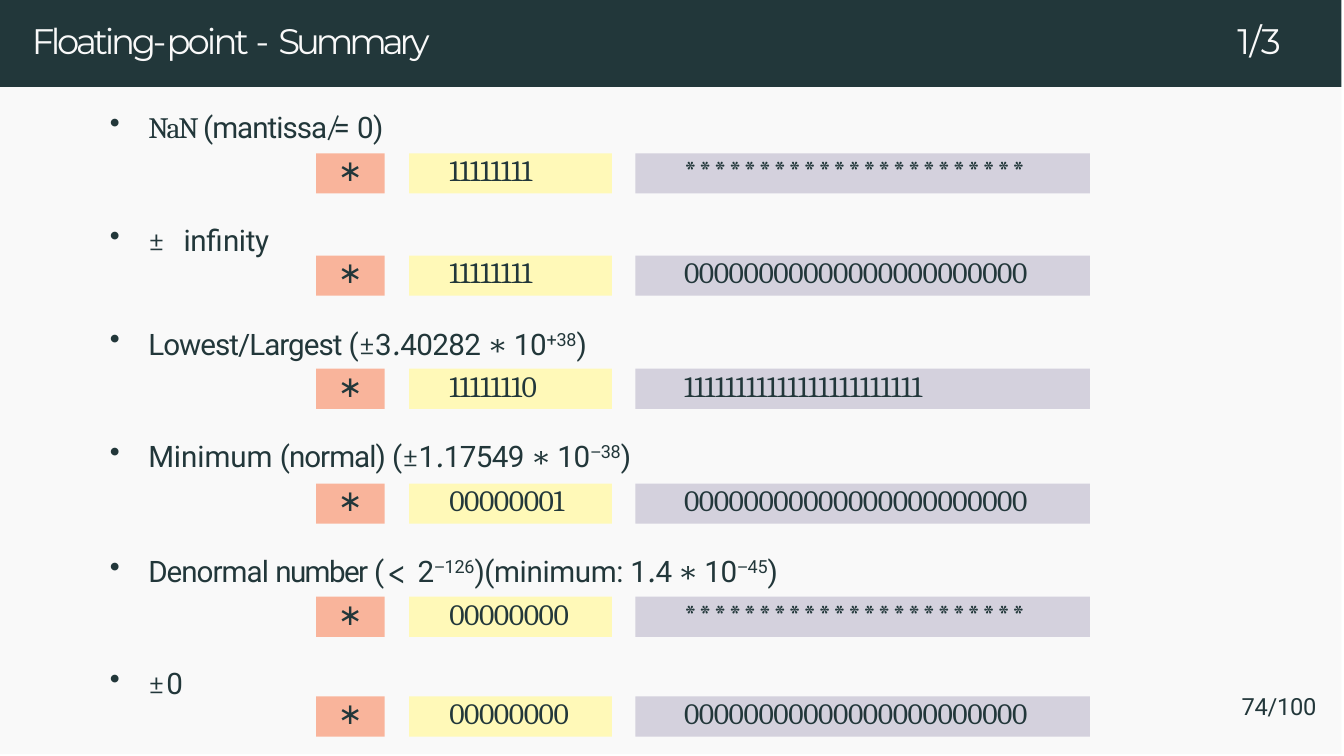
from dataclasses import dataclass

from pptx import Presentation
from pptx.dml.color import RGBColor as Rgb
from pptx.enum.shapes import MSO_SHAPE as Shape
from pptx.enum.text import PP_ALIGN as Align
from pptx.oxml.ns import qn
from pptx.util import Cm, Pt
from lxml.etree import SubElement


@dataclass(frozen=True)
class Theme:
    paper: str = "F9F9F9"
    dark: str = "22373A"
    sign: str = "F9B49B"
    power: str = "FFF9B8"
    digits: str = "D4D1DD"
    head: str = "Montserrat"
    body: str = "Roboto"
    serif: str = "Cambria"
    mono: str = "Noto Sans Mono"
    math: str = "TeX Gyre Bonum"
    minus: str = "Arial"
    big: float = 12
    text: float = 10
    raised: float = 10.5
    small: float = 8
    line: float = 11.6


T = Theme()


@dataclass(frozen=True)
class Run:
    text: str
    gap: float = 0
    font: str = T.body
    slant: bool = False
    high: bool = False


def add_run(par, run, size=T.text, color=T.dark):
    item = par.add_run()
    item.text = run.text
    font = item.font
    font.name = run.font
    font.size = Pt(T.raised if run.high else size)
    font.italic = run.slant
    font.color.rgb = Rgb.from_string(color)
    props = item._r.get_or_add_rPr()
    props.set("spc", str(round(run.gap * 100)))
    if run.high:
        props.set("baseline", "28000")


def set_frame(shape, top=0):
    frame = shape.text_frame
    frame.word_wrap = True
    frame.margin_left = frame.margin_right = frame.margin_bottom = 0
    frame.margin_top = Cm(top)
    return frame.paragraphs[0]


def add_text(slide, box, runs, size=T.text, color=T.dark):
    par = set_frame(slide.shapes.add_textbox(*map(Cm, box)), 0.03)
    for run in runs:
        add_run(par, run, size, color)
    return par


def add_label(slide, top, runs):
    par = add_text(slide, (1.19, top, 10, 0.48), runs)
    props = par._p.get_or_add_pPr()
    props.set("marL", str(Cm(0.58)))
    props.set("indent", str(-Cm(0.46)))
    SubElement(props, qn("a:buChar")).set("char", "•")


def add_rect(slide, box, fill):
    rect = slide.shapes.add_shape(Shape.RECTANGLE, *map(Cm, box))
    rect.shadow.inherit = False
    rect.fill.solid()
    rect.fill.fore_color.rgb = Rgb.from_string(fill)
    rect.line.fill.background()
    return rect


def add_field(slide, left, top, width, fill, run, indent=None):
    rect = add_rect(slide, (left, top, width, 0.48), fill)
    par = set_frame(rect)
    rect.text_frame.vertical_anchor = 1  # top
    par.line_spacing = Pt(T.line)
    par.alignment = Align.CENTER if indent is None else Align.LEFT
    if indent:
        par._p.get_or_add_pPr().set("marL", str(Cm(indent)))
    add_run(par, run)


def add_bits(slide, top, power, digit):
    gap = 0.8 if digit == "*" else -0.1
    add_field(slide, 3.77, top, 0.82, T.sign, Run("∗", -2.8, T.mono))
    add_field(slide, 4.88, top, 2.42, T.power, Run(power, -0.1, T.serif), 0.48)
    add_field(slide, 7.58, top, 5.42, T.digits, Run(digit * 23, gap, T.serif), 0.58)


# Pieces of formulas
def decimal(whole, part, gap=-0.2):
    return [Run(whole, gap), Run(".", gap, T.math, True), Run(part + " ", gap)]


def raise_minus(base, power):
    return [Run(base, -0.1), Run("−", -0.1, T.minus, True, True),
            Run(power, -0.1, high=True)]


TIMES = Run("∗ ", 0, T.serif)
OPEN = [Run("(", -0.2), Run("±", -0.2, T.serif)]
CLOSE = Run(")", -0.1)

# Label top, field top, exponent bits, mantissa digit, label
ROWS = [
    (1.27, 1.83, "11111111", "*",
     [Run("NaN ", -0.7, T.serif), Run("(mantissa ", -0.3),
      Run("̸", 0, T.serif), Run("= "), Run("0)", -0.2)]),
    (2.62, 3.05, "11111111", "0",
     [Run("± ", 2.1, T.serif), Run("infinity", -0.1)]),
    (3.84, 4.4, "11111110", "1",
     [Run("Lowest/Largest ", -0.3), *OPEN, *decimal("3", "40282"), TIMES,
      Run("10", -0.1), Run("+38", -0.1, high=True), CLOSE]),
    (5.18, 5.77, "00000001", "0",
     [Run("Minimum "), Run("(normal) ", -0.3), *OPEN, *decimal("1", "17549"),
      TIMES, *raise_minus("10", "38"), CLOSE]),
    (6.55, 7.12, "00000000", "*",
     [Run("Denormal ", -0.3), Run("number ", -0.5), Run("(", 0.8),
      Run("< ", 0.8, T.math, True), *raise_minus("2", "126"),
      Run(")(minimum: ", -0.1), *decimal("1", "4", -0.5), TIMES,
      *raise_minus("10", "45"), CLOSE]),
    (7.9, 8.31, "00000000", "0",
     [Run("±", 0.6, T.serif), Run("0", 0.6)]),
]


def main():
    deck = Presentation()
    deck.slide_width, deck.slide_height = Cm(16.03), Cm(9.02)
    slide = deck.slides.add_slide(deck.slide_layouts[6])

    # Backdrop and title bar
    add_rect(slide, (0, 0, 16, 9), T.paper)
    add_rect(slide, (0, 0, 16, 1.04), T.dark)
    title = [Run("Floating-", -1.1, T.head), Run("point ", -1, T.head),
             Run("- ", 0, T.head), Run("Summary", -1.4, T.head)]
    add_text(slide, (0.38, 0.2, 12.17, 0.58), title, T.big, T.paper)
    part = [Run("1/3", -0.2, T.head)]
    add_text(slide, (14.76, 0.2, 0.8, 0.58), part, T.big, T.paper)

    # Special values with their bit fields
    for top, low, power, digit, runs in ROWS:
        add_label(slide, top, runs)
        add_bits(slide, low, power, digit)

    # Page number
    add_text(slide, (14.81, 8.23, 1.1, 0.4), [Run("74/100", -0.1)], T.small)
    deck.save("out.pptx")


if __name__ == "__main__":
    main()
